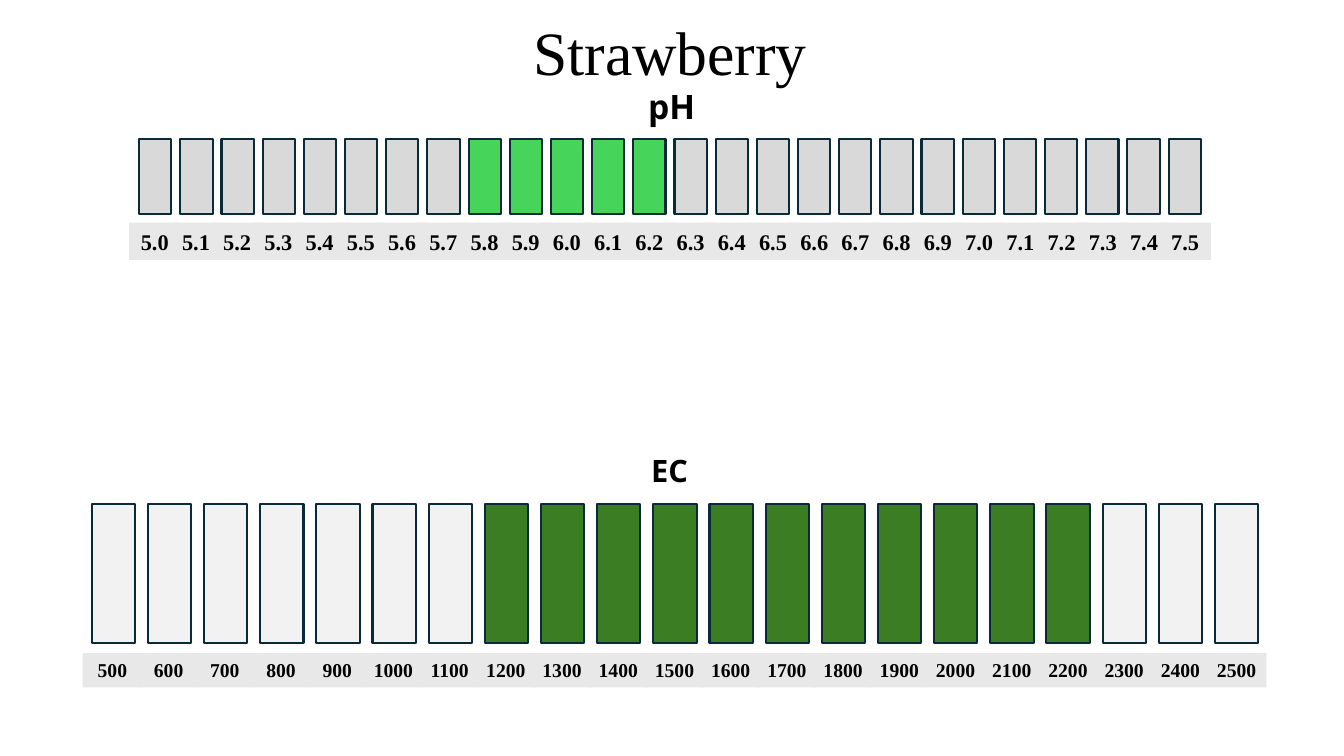
from pptx import Presentation
from pptx.util import Inches, Pt
from pptx.dml.color import RGBColor
from pptx.enum.shapes import MSO_SHAPE
from pptx.enum.text import PP_ALIGN, MSO_ANCHOR

BLACK = RGBColor(0x00, 0x00, 0x00)
NAVY = RGBColor(0x09, 0x2A, 0x39)
SILVER = RGBColor(0xD9, 0xD9, 0xD9)
PALE = RGBColor(0xF2, 0xF2, 0xF2)
BAND = RGBColor(0xE8, 0xE8, 0xE8)
LIME = RGBColor(0x47, 0xD4, 0x5A)
GREEN = RGBColor(0x3B, 0x7D, 0x23)

deck = Presentation()
deck.slide_width = Inches(13.33)
deck.slide_height = Inches(7.5)
slide = deck.slides.add_slide(deck.slide_layouts[6])


def add_rect(left, top, width, height, fill):
    rect = slide.shapes.add_shape(
        MSO_SHAPE.RECTANGLE, Inches(left), Inches(top), Inches(width), Inches(height))
    rect.shadow.inherit = False
    rect.fill.solid()
    rect.fill.fore_color.rgb = fill
    return rect


def write(shape, text, align, wrap, style):
    frame = shape.text_frame
    frame.word_wrap = wrap
    line = frame.paragraphs[0]
    line.alignment = align
    run = line.add_run()
    run.text = text
    run.font.color.rgb = BLACK
    for key, value in style.items():
        setattr(run.font, key, value)


scales = [
    {"marks": [f"{n / 10:.1f}" for n in range(50, 76)], "good": ("5.8", "6.2"),
     "first": 1.38, "last": 11.59, "top": 1.38, "width": 0.32, "height": 0.74,
     "start": 1.28, "end": 11.5, "base": 2.21, "wide": 0.51, "high": 0.37,
     "size": 16, "plain": SILVER, "ideal": LIME},
    {"marks": [str(n) for n in range(500, 2501, 100)], "good": ("1200", "2200"),
     "first": 0.91, "last": 12.05, "top": 5, "width": 0.43, "height": 1.38,
     "start": 0.82, "end": 11.97, "base": 6.48, "wide": 0.59, "high": 0.34,
     "size": 14, "plain": PALE, "ideal": GREEN},
]

for scale in scales:
    marks = scale["marks"]
    low, high = [marks.index(mark) for mark in scale["good"]]
    style = {"name": "Times New Roman", "size": Pt(scale["size"]), "bold": True}
    for i, mark in enumerate(marks):
        part = i / (len(marks) - 1)
        left = scale["first"] + part * (scale["last"] - scale["first"])
        fill = scale["ideal"] if low <= i <= high else scale["plain"]
        bar = add_rect(left, scale["top"], scale["width"], scale["height"], fill)
        bar.line.color.rgb = NAVY
        bar.line.width = Pt(1.5)

        left = scale["start"] + part * (scale["end"] - scale["start"])
        label = add_rect(left, scale["base"], scale["wide"], scale["high"], BAND)
        label.line.fill.background()
        label.text_frame.vertical_anchor = MSO_ANCHOR.TOP
        write(label, mark, PP_ALIGN.CENTER, False, style)

heads = [
    ("Strawberry", 5.19, 0.09, 2.94, 0.84,
     {"name": "Times New Roman", "size": Pt(44)}),
    ("pH", 6.33, 0.8, 0.71, 0.5,
     {"name": "Noto Sans", "size": Pt(24), "bold": True}),
    ("EC", 6.36, 4.43, 0.61, 0.47,
     {"name": "Noto Sans", "size": Pt(22), "bold": True}),
]
for text, left, top, width, height, style in heads:
    box = slide.shapes.add_textbox(
        Inches(left), Inches(top), Inches(width), Inches(height))
    write(box, text, PP_ALIGN.LEFT, text != "Strawberry", style)

deck.save("out.pptx")
